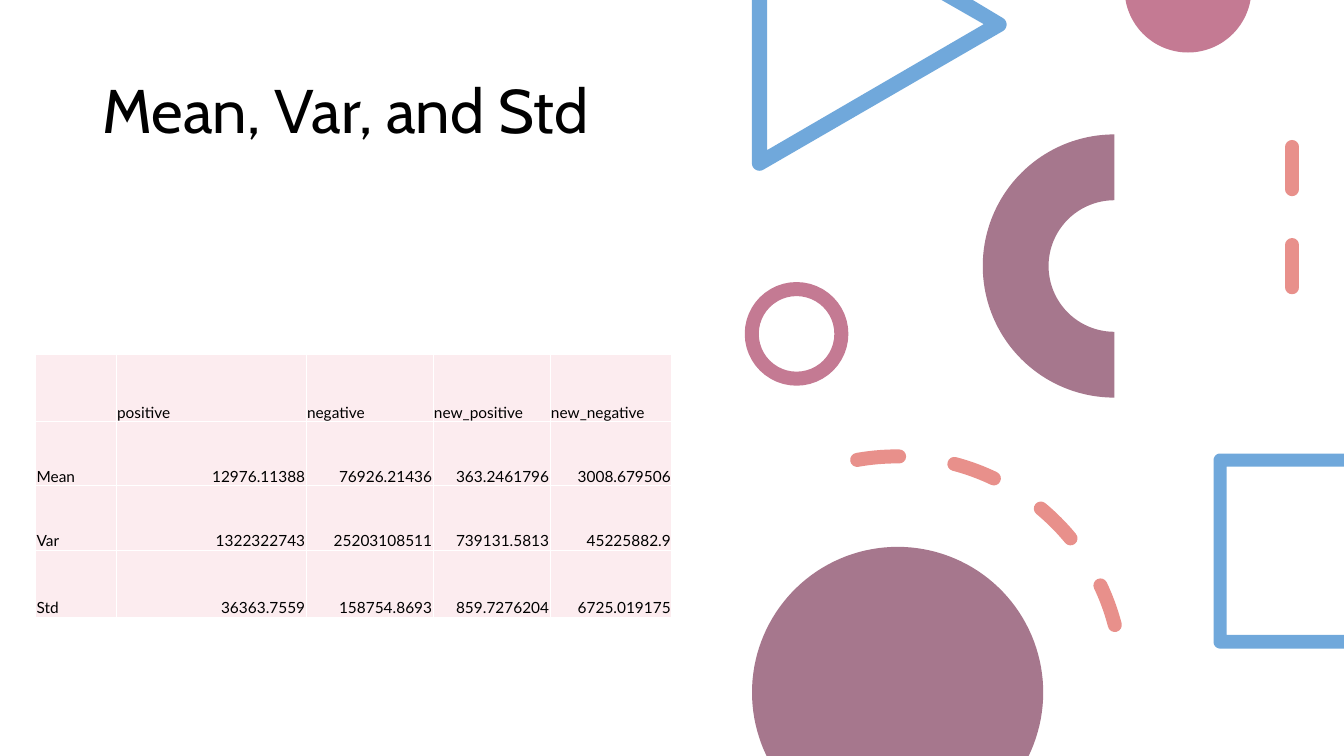
from math import cos, radians, sin

from lxml import etree
from pptx import Presentation
from pptx.dml.color import RGBColor
from pptx.enum.dml import MSO_LINE
from pptx.enum.shapes import MSO_CONNECTOR, MSO_SHAPE
from pptx.enum.text import MSO_ANCHOR, PP_ALIGN
from pptx.oxml.ns import qn
from pptx.util import Pt

ARC, BLOCK_ARC, OVAL = MSO_SHAPE.ARC, MSO_SHAPE.BLOCK_ARC, MSO_SHAPE.OVAL
STRAIGHT, DASH = MSO_CONNECTOR.STRAIGHT, MSO_LINE.DASH
LEFT, RIGHT = PP_ALIGN.LEFT, PP_ALIGN.RIGHT
MIDDLE, BOTTOM = MSO_ANCHOR.MIDDLE, MSO_ANCHOR.BOTTOM

BLACK, WHITE, BLUSH = "000000", "FFFFFF", "FCECEF"
ROSE, MAUVE, BLUE, CORAL = "C47A93", "A6778D", "70A8DB", "E8908B"
STROKE = 10

COLUMNS = [57.5, 135.7, 90.7, 83.6, 86.9]
ROWS = [48, 46, 46, 48]
STATS = [
    ["", "positive", "negative", "new_positive", "new_negative"],
    ["Mean", "12976.11388", "76926.21436", "363.2461796", "3008.679506"],
    ["Var", "1322322743", "25203108511", "739131.5813", "45225882.9"],
    ["Std", "36363.7559", "158754.8693", "859.7276204", "6725.019175"],
]


def rgb(color):
    return RGBColor.from_string(color)


def set_fill(item, color):
    item.fill.solid()
    item.fill.fore_color.rgb = rgb(color)


def format_text(p, font, size, align):
    p.alignment = align
    for r in p.runs:
        r.font.name = font
        r.font.size = Pt(size)
        r.font.color.rgb = rgb(BLACK)


def set_stroke(s, color, dashed=False):
    s.line.color.rgb = rgb(color)
    s.line.width = Pt(STROKE)
    if dashed:
        s.line.dash_style = DASH
        s.line._get_or_add_ln().set("cap", "rnd")


def add_title(s, text):
    title = s.shapes.title
    title.left, title.top, title.width, title.height = Pt(66), Pt(29), Pt(438), Pt(104)
    tf = title.text_frame
    tf.text = text
    tf.vertical_anchor = MIDDLE
    p = tf.paragraphs[0]
    p.line_spacing = 0.9
    format_text(p, "Cabin", 44, LEFT)


def add_borders(cell):
    tc_pr = cell._tc.get_or_add_tcPr()
    for side in ("a:lnL", "a:lnR", "a:lnT", "a:lnB"):
        ln = etree.SubElement(tc_pr, qn(side), w=str(Pt(1)))
        fill = etree.SubElement(ln, qn("a:solidFill"))
        etree.SubElement(fill, qn("a:srgbClr"), val=WHITE)


def fill_cell(cell, text, align):
    cell.text = text
    cell.vertical_anchor = BOTTOM
    cell.margin_left = cell.margin_right = cell.margin_top = Pt(0.6)
    cell.margin_bottom = 0
    add_borders(cell)
    set_fill(cell, BLUSH)
    format_text(cell.text_frame.paragraphs[0], "Lato", 11, align)


def add_stats_table(s, left, top):
    frame = s.shapes.add_table(len(ROWS), len(COLUMNS), Pt(left), Pt(top),
                               Pt(sum(COLUMNS)), Pt(sum(ROWS)))
    table = frame.table
    table.first_row = table.horz_banding = False
    for column, width in zip(table.columns, COLUMNS):
        column.width = Pt(width)
    for row, height in zip(table.rows, ROWS):
        row.height = Pt(height)
    for i, values in enumerate(STATS):
        for j, text in enumerate(values):
            fill_cell(table.cell(i, j), text, RIGHT if i and j else LEFT)


def add_preset(s, kind, left, top, size, rotation=0):
    sp = s.shapes.add_shape(kind, Pt(left), Pt(top), Pt(size), Pt(size))
    sp.rotation = rotation
    sp.shadow.inherit = False
    return sp


def add_outlined(s, kind, left, top, size, color, rotation=0, dashed=False):
    sp = add_preset(s, kind, left, top, size, rotation)
    sp.fill.background()
    set_stroke(sp, color, dashed)


def add_half_ring(s, left, top, size, color):
    sp = add_preset(s, BLOCK_ARC, left, top, size, 270)
    set_fill(sp, color)
    sp.line.fill.background()


def add_dashed_line(s, x, top, bottom, color):
    line = s.shapes.add_connector(STRAIGHT, Pt(x), Pt(top), Pt(x), Pt(bottom))
    set_stroke(line, color, dashed=True)
    etree.SubElement(line._element.spPr, qn("a:effectLst"))


def arc_points(x, y, radius, start, end, steps=12):
    angles = [radians(start + (end - start) * i / steps) for i in range(steps + 1)]
    return [(x + radius * cos(a), y + radius * sin(a)) for a in angles]


def add_outline(s, points, color):
    first, *rest = [(Pt(x), Pt(y)) for x, y in points]
    builder = s.shapes.build_freeform(*first)
    builder.add_line_segments(rest, close=True)
    sp = builder.convert_to_shape()
    sp.shadow.inherit = False
    set_fill(sp, color)
    sp.line.fill.background()


def add_triangle(s):
    points = [(537.1, 0), (547.9, 0), (547.9, 107.3), (702.7, 17.3), (672.5, 0), (694.8, 0)]
    points += arc_points(713.6, 17.6, 5.4, -60, 60)
    points += arc_points(542.5, 116.6, 5.4, 60, 180)
    add_outline(s, points, BLUE)


def add_square(s):
    points = [(960, 324), (960, 333.4), (876.2, 333.4),
              (876.2, 453.6), (960, 453.6), (960, 463.3)]
    points += arc_points(871.6, 458.6, 4.7, 90, 180)
    points += arc_points(871.6, 328.7, 4.7, 180, 270)
    add_outline(s, points, BLUE)


def main():
    prs = Presentation()
    prs.slide_width, prs.slide_height = Pt(960), Pt(540)
    s = prs.slides.add_slide(prs.slide_layouts[5])
    add_title(s, "Mean, Var, and Std")
    add_outline(s, arc_points(848.6, -7.8, 45.3, 9.9, 170.1, 60), ROSE)
    add_stats_table(s, 25.5, 253)
    add_outlined(s, OVAL, 537, 206.5, 64, ROSE)
    add_half_ring(s, 702, 96, 188, MAUVE)
    add_triangle(s)
    add_dashed_line(s, 923, 105, 230.4, CORAL)
    add_square(s)
    add_outlined(s, ARC, 479.5, 326, 322, CORAL, 349.9, True)
    add_outline(s, arc_points(641.2, 494.6, 104, 154.1, 385.9, 90), MAUVE)
    prs.save("out.pptx")


if __name__ == "__main__":
    main()
